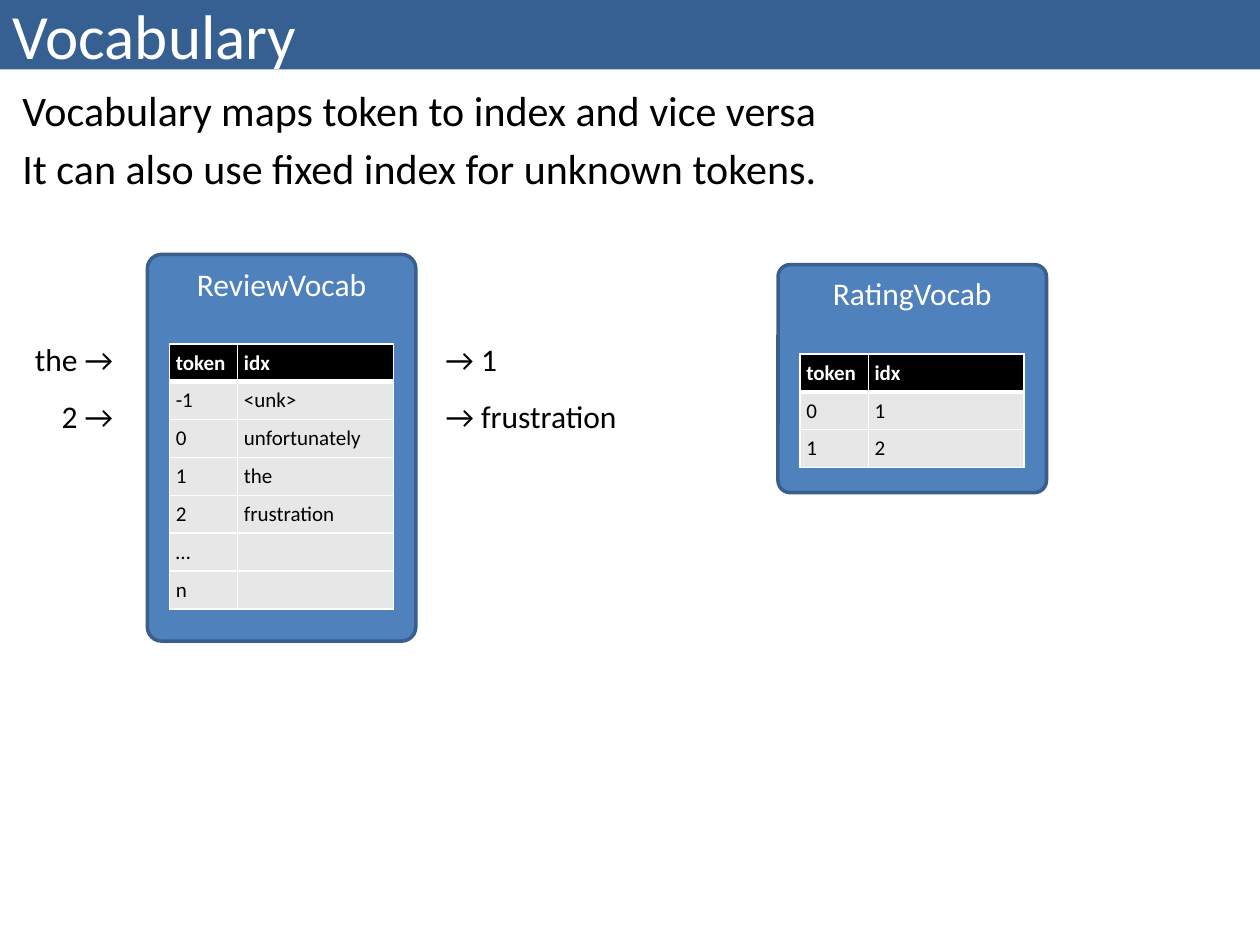
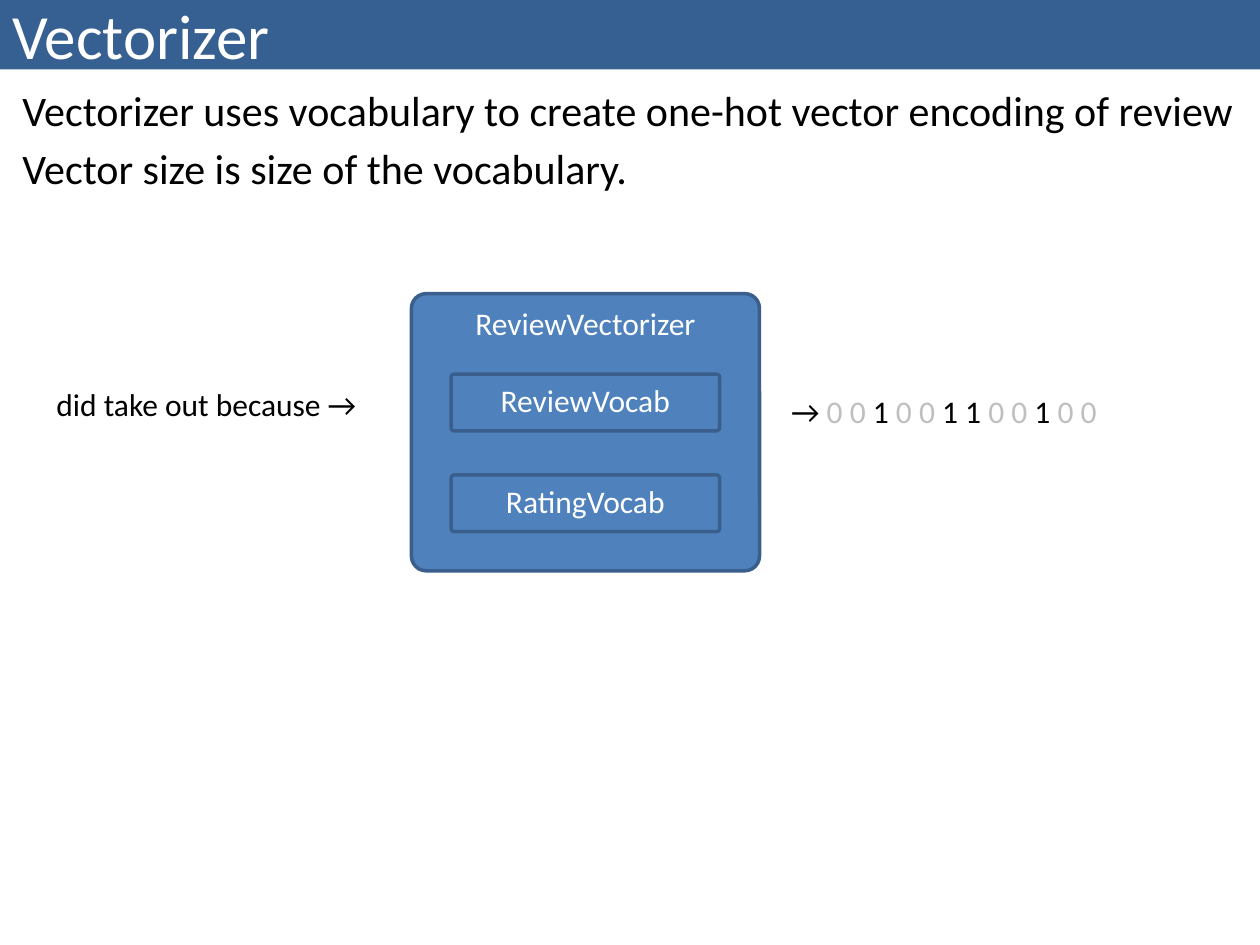
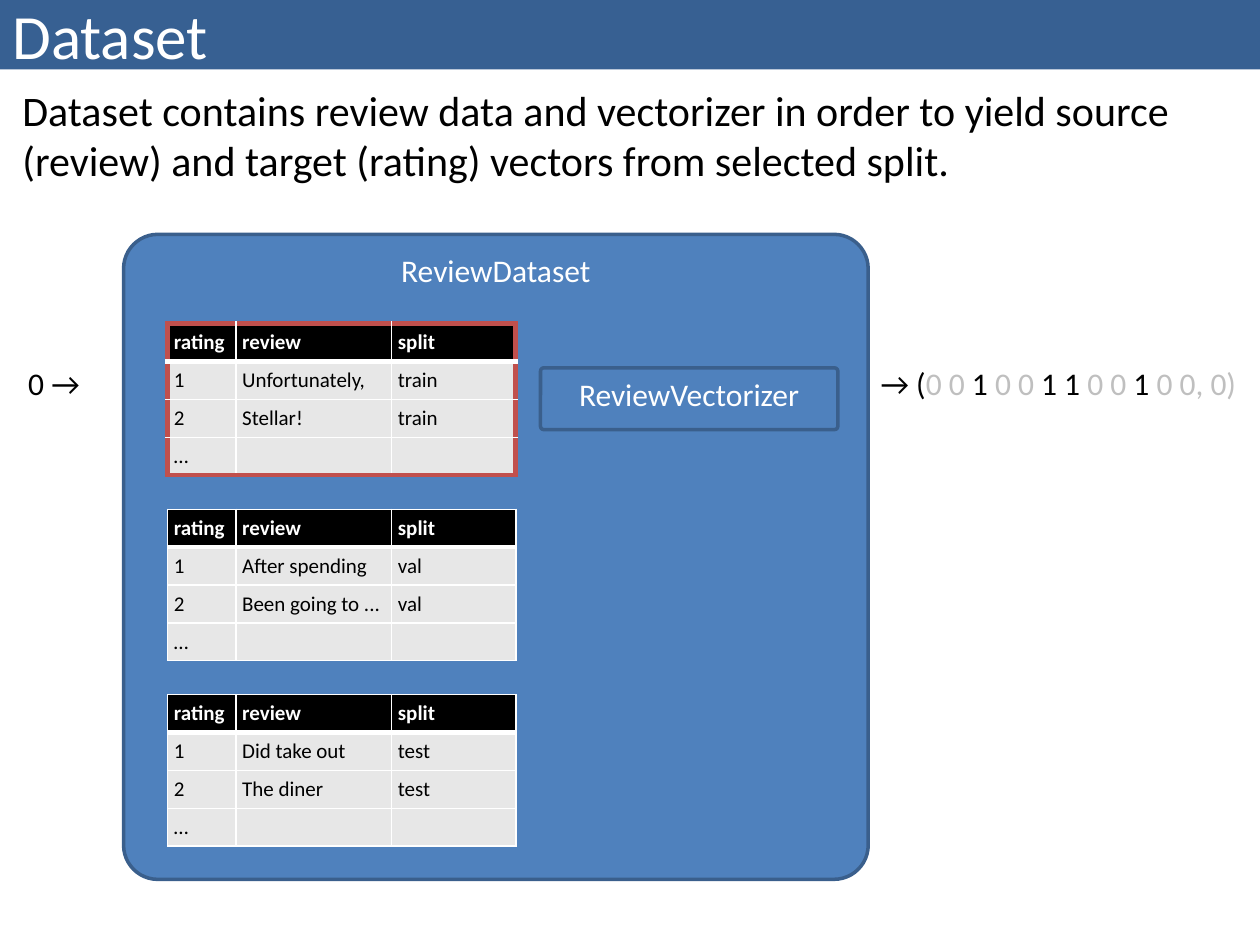
"""Builds three slides on the vocabulary, vectorizer and dataset of a review model."""
from dataclasses import dataclass
from itertools import groupby

from lxml import etree
from pptx import Presentation
from pptx import util as u
from pptx.dml.color import RGBColor
from pptx.enum import shapes, text
from pptx.oxml import ns

Pt = u.Pt
LEFT, CENTER, RIGHT = text.PP_ALIGN.LEFT, text.PP_ALIGN.CENTER, text.PP_ALIGN.RIGHT


@dataclass(frozen=True)
class Theme:
    """Colours, font and type sizes shared by all slides."""
    band: str = "376092"
    panel: str = "4F81BD"
    edge: str = "3A5F8C"
    white: str = "FFFFFF"
    black: str = "000000"
    muted: str = "BFBFBF"
    cell: str = "E7E7E7"
    accent: str = "C0504D"
    font: str = "Calibri"
    title_size: int = 36
    body_size: int = 24
    label_size: int = 18
    cell_size: int = 12


THEME = Theme()
COLUMNS = (39, 89, 71)
ROW_HEIGHT = 21.6
BITS = "001001100100"


def set_all(target, values):
    """Set each named attribute of the target."""
    for name, value in values.items():
        setattr(target, name, value)


def write(para, spans, size, align=LEFT, bold=False):
    """Fill a paragraph with (text, colour) spans."""
    para.alignment = align
    for words, color in spans:
        span = para.add_run()
        span.text = words
        set_all(span.font, {"name": THEME.font, "size": Pt(size), "bold": bold})
        span.font.color.rgb = RGBColor.from_string(color)


def paint(shape, fill, line=None):
    """Give a shape a flat fill and an optional outline."""
    shape.shadow.inherit = False
    shape.fill.solid()
    shape.fill.fore_color.rgb = RGBColor.from_string(fill)
    if line:
        shape.line.color.rgb = RGBColor.from_string(line)
        shape.line.width = Pt(2)
    else:
        shape.line.fill.background()


def add_page(deck, title, lines):
    """Add a slide with its title band and introductory lines."""
    page = deck.slides.add_slide(deck.slide_layouts[6])
    band = page.shapes.add_shape(shapes.MSO_SHAPE.RECTANGLE, 0, 0, Pt(720), Pt(39.6))
    paint(band, THEME.band)
    band.text_frame.vertical_anchor = text.MSO_ANCHOR.MIDDLE
    write(band.text_frame.paragraphs[0], [(title, THEME.white)], THEME.title_size)

    box = page.shapes.add_textbox(Pt(5.76), Pt(44.64), Pt(708.5), Pt(83.5))
    frame = box.text_frame
    frame.word_wrap = True
    for index, line in enumerate(lines):
        para = frame.add_paragraph() if index else frame.paragraphs[0]
        para.space_before = Pt(4.5)
        write(para, [(line, THEME.black)], THEME.body_size)
    return page


def add_panel(page, name, left, top, width, height):
    """Add a rounded component box with its name at the top."""
    panel = page.shapes.add_shape(shapes.MSO_SHAPE.ROUNDED_RECTANGLE,
                                  Pt(left), Pt(top), Pt(width), Pt(height))
    panel.adjustments[0] = 0.053
    paint(panel, THEME.panel, THEME.edge)
    panel.text_frame.vertical_anchor = text.MSO_ANCHOR.TOP
    write(panel.text_frame.paragraphs[0], [(name, THEME.white)], THEME.label_size, CENTER)


def add_label(page, spans, left, top, width, align=LEFT, wrap=False):
    """Add a one-line label, from plain text or coloured spans."""
    if isinstance(spans, str):
        spans = [(spans, THEME.black)]
    box = page.shapes.add_textbox(Pt(left), Pt(top), Pt(width), Pt(29))
    box.text_frame.word_wrap = wrap
    write(box.text_frame.paragraphs[0], spans, THEME.label_size, align)


def one_hot(opening="", closing=""):
    """Return the spans of the encoded vector, with its zeros muted."""
    spans = [("→ " + opening, THEME.black)]
    for bit, group in groupby(BITS):
        digits = " ".join(group)
        spans.append((digits, THEME.muted) if bit == "0" else (f" {digits} ", THEME.black))
    spans[-1] = (spans[-1][0] + closing, THEME.muted)
    return spans


def add_border(cell, side, color, width):
    """Draw one side (L, R, T or B) of a cell."""
    line = etree.SubElement(cell._tc.get_or_add_tcPr(), ns.qn(f"a:ln{side}"),
                            w=str(Pt(width)))
    fill = etree.SubElement(line, ns.qn("a:solidFill"))
    etree.SubElement(fill, ns.qn("a:srgbClr"), val=color)


def add_grid(page, rows, left, top, outline=None):
    """Add a table with a black header row and an optional coloured outline."""
    widths = COLUMNS[:len(rows[0])]
    last_row, last_column = len(rows) - 1, len(widths) - 1
    grid = page.shapes.add_table(len(rows), len(widths), Pt(left), Pt(top),
                                 Pt(sum(widths)), Pt(ROW_HEIGHT * len(rows))).table
    grid.horz_banding = False
    for column, width in zip(grid.columns, widths):
        column.width = Pt(width)
    for i, values in enumerate(rows):
        grid.rows[i].height = Pt(ROW_HEIGHT)
        for j, value in enumerate(values):
            cell = grid.cell(i, j)
            set_all(cell, dict.fromkeys(
                ("margin_left", "margin_right", "margin_top", "margin_bottom"), Pt(3.6)))
            outer = {"L": j == 0, "R": j == last_column, "T": i == 0, "B": i == last_row}
            for side, is_outer in outer.items():
                under_header = (i, side) in ((0, "B"), (1, "T"))
                if outline and is_outer:
                    add_border(cell, side, outline, 3)
                else:
                    add_border(cell, side, THEME.white, 3 if under_header else 1)
            cell.fill.solid()
            cell.fill.fore_color.rgb = RGBColor.from_string(THEME.cell if i else THEME.black)
            para = cell.text_frame.paragraphs[0]
            if value:
                color = THEME.black if i else THEME.white
                write(para, [(value, color)], THEME.cell_size, bold=i == 0)
            else:
                etree.SubElement(para._p, ns.qn("a:endParaRPr"),
                                 sz=str(THEME.cell_size * 100))


def add_vocab(page, name, entries, left, top, height):
    """Add a vocabulary panel holding its token table."""
    add_panel(page, name, left, top, 153.4, height)
    add_grid(page, [("token", "idx"), *entries], left + 12.6, top + 51.1)


def vocabulary_page(deck):
    """Build the slide on vocabularies."""
    page = add_page(deck, "Vocabulary", [
        "Vocabulary maps token to index and vice versa",
        "It can also use fixed index for unknown tokens."])
    add_vocab(page, "ReviewVocab", [
        ("-1", "<unk>"), ("0", "unfortunately"), ("1", "the"),
        ("2", "frustration"), ("…", ""), ("n", "")], 84.24, 145.4, 221)
    add_vocab(page, "RatingVocab", [("0", "1"), ("1", "2")], 444.6, 151.2, 130.3)
    lookups = [("the →", 61, "→ 1", 45), ("2 →", 45, "→ frustration", 114.5)]
    for index, (query, query_width, answer, answer_width) in enumerate(lookups):
        top = 190.8 + 32.8 * index
        add_label(page, query, 71.8 - query_width, top, query_width, RIGHT)
        add_label(page, answer, 247.5, top, answer_width)


def vectorizer_page(deck):
    """Build the slide on the vectorizer."""
    page = add_page(deck, "Vectorizer", [
        "Vectorizer uses vocabulary to create one-hot vector encoding of review",
        "Vector size is size of the vocabulary."])
    add_panel(page, "ReviewVectorizer", 235.1, 167.8, 198.9, 158.4)
    for index, name in enumerate(("ReviewVocab", "RatingVocab")):
        add_panel(page, name, 257.8, 213.8 + 57.6 * index, 153.4, 32.4)
    add_label(page, "did take out because →", 25.2, 216.7, 198.7, wrap=True)
    add_label(page, one_hot(), 445, 220.3, 198.7, wrap=True)


def dataset_page(deck):
    """Build the slide on the dataset and its splits."""
    page = add_page(deck, "Dataset", [
        "Dataset contains review data and vectorizer in order to yield source "
        "(review) and target (rating) vectors from selected split."])
    add_panel(page, "ReviewDataset", 70.6, 133.9, 425.5, 368.6)
    splits = [("train", "Unfortunately,", "Stellar!", THEME.accent),
              ("val", "After spending", "Been going to ...", None),
              ("test", "Did take out", "The diner", None)]
    for index, (split, first, second, outline) in enumerate(splits):
        rows = [("rating", "review", "split"), ("1", first, split),
                ("2", second, split), ("…", "", "")]
        add_grid(page, rows, 95.8, 185 + 106 * index, outline)
    add_label(page, "0 → ", 8.6, 204.5, 48.2, RIGHT, wrap=True)
    add_label(page, one_hot("(", ", 0)"), 496.1, 204.5, 221.8, wrap=True)
    add_panel(page, "ReviewVectorizer", 308.9, 210.2, 169.9, 35.3)


def main():
    """Build and save the deck."""
    deck = Presentation()
    set_all(deck, {"slide_width": Pt(720), "slide_height": Pt(540)})
    vocabulary_page(deck)
    vectorizer_page(deck)
    dataset_page(deck)
    deck.save("out.pptx")


main()
